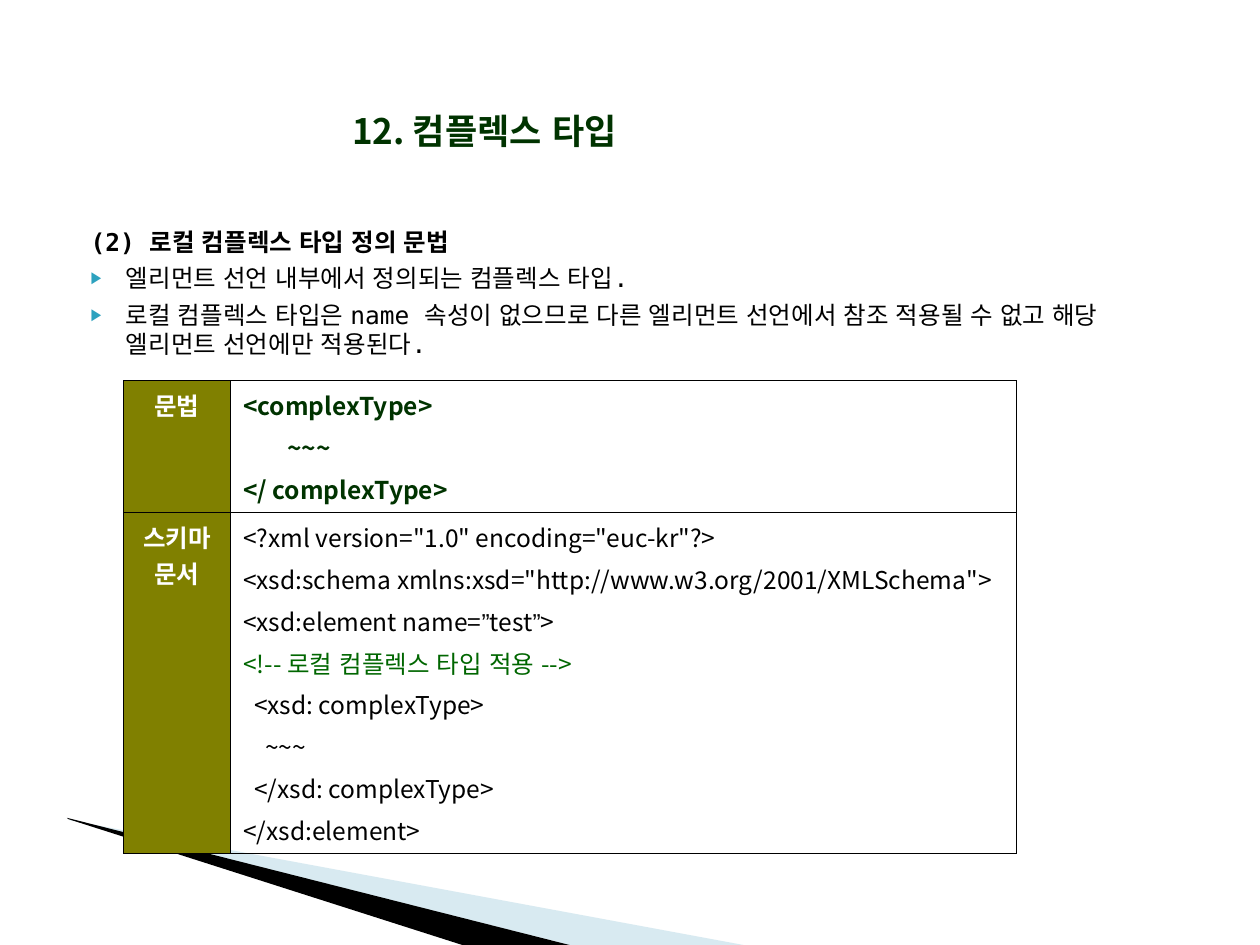
"""Build the slide about local complex types in XML Schema."""
from dataclasses import dataclass

from lxml import etree
from pptx import Presentation
from pptx import util as u
from pptx.dml.color import RGBColor
from pptx.enum import text
from pptx.oxml import ns

SANS, MONO, LATIN = "Noto Sans CJK KR", "DejaVu Sans Mono", "Arial"
BLACK = RGBColor(0x00, 0x00, 0x00)
WHITE = RGBColor(0xFF, 0xFF, 0xFF)
DARK_GREEN = RGBColor(0x00, 0x33, 0x00)
COMMENT_GREEN = RGBColor(0x00, 0x66, 0x00)
OLIVE = RGBColor(0x80, 0x80, 0x00)
PALE_BLUE = RGBColor(0x9F, 0xCB, 0xDC)
BULLET_BLUE = RGBColor(0x2D, 0xA2, 0xBF)


@dataclass(frozen=True)
class Run:
    text: str
    color: RGBColor = BLACK
    bold: bool = False
    font: str = SANS
    size: float = 14
    east_asian: str = LATIN


@dataclass(frozen=True)
class Line:
    runs: tuple[Run, ...]
    bullet: bool = False


@dataclass(frozen=True)
class Wedge:
    points: tuple[tuple[float, float], ...]
    color: RGBColor
    opacity: int = 100


@dataclass(frozen=True)
class SyntaxRow:
    label: str
    lines: tuple[Line, ...]
    height: float


def code(value: str, color: RGBColor = BLACK, bold: bool = False) -> Line:
    return Line((Run(value, color, bold),))


WEDGES = (
    Wedge(((0.55, 6.51), (5.9, 7.5), (4.52, 7.5), (0.55, 6.5)), PALE_BLUE, 40),
    Wedge(((0.53, 6.49), (4.52, 7.5), (3.67, 7.5), (0.54, 6.5)), BLACK),
)
TITLE = (Line((Run("12. 컴플렉스 타입", DARK_GREEN, True, size=20),)),)
BODY = (
    Line((Run("(2) 로컬 컴플렉스 타입 정의 문법", bold=True, font=MONO),)),
    Line((Run("엘리먼트 선언 내부에서 정의되는 컴플렉스 타입.", font=MONO),), True),
    Line((Run("로컬 컴플렉스 타입은 name 속성이 없으므로 다른 엘리먼트 선언에서 "
              "참조 적용될 수 없고 해당 엘리먼트 선언에만 적용된다.", font=MONO),), True),
)
QUOTE = Run("”", font=LATIN)
ROWS = (
    SyntaxRow("문법", (
        code("<complexType>", DARK_GREEN, True),
        Line((Run("        ", DARK_GREEN), Run("~~~", DARK_GREEN, True))),
        code("</ complexType>", DARK_GREEN, True),
    ), 1.05),
    SyntaxRow("스키마문서", (
        code('<?xml version="1.0" encoding="euc-kr"?>'),
        code('<xsd:schema xmlns:xsd="http://www.w3.org/2001/XMLSchema">'),
        Line((Run("<xsd:element name="), QUOTE, Run("test"), QUOTE, Run(">"))),
        code("<!-- 로컬 컴플렉스 타입 적용 -->", COMMENT_GREEN),
        code("  <xsd: complexType>"),
        code("    ~~~"),
        code("  </xsd: complexType>"),
        code("</xsd:element>"),
    ), 2.7),
)
COLUMN_WIDTHS = (0.85, 6.24)


def add_element(parent, tag: str, **attributes: str):
    element = etree.SubElement(parent, ns.qn(tag))
    for name, value in attributes.items():
        element.set(name, value)
    return element


def set_hanging_indent(paragraph, bullet: bool) -> None:
    properties = paragraph._p.get_or_add_pPr()
    properties.set("marL", str(u.Inches(0.4)))
    properties.set("indent", str(u.Inches(-0.28)))
    if bullet:
        color = add_element(properties, "a:buClr")
        add_element(color, "a:srgbClr", val=str(BULLET_BLUE))
        add_element(properties, "a:buSzPct", val="68000")
        add_element(properties, "a:buFont", typeface=LATIN)
        add_element(properties, "a:buChar", char="▶")
    else:
        add_element(properties, "a:buNone")


def write_lines(frame, lines: tuple[Line, ...], gap: float = 0,
                align=text.PP_ALIGN.LEFT, hanging: bool = False) -> None:
    frame.word_wrap = True
    for index, line in enumerate(lines):
        paragraph = frame.add_paragraph() if index else frame.paragraphs[0]
        if hanging:
            set_hanging_indent(paragraph, line.bullet)
        paragraph.alignment = align
        paragraph.space_before = u.Pt(gap if index else 0)
        for item in line.runs:
            run = paragraph.add_run()
            run.text = item.text
            run.font.name = item.font
            run.font.size = u.Pt(item.size)
            run.font.bold = item.bold
            run.font.color.rgb = item.color
            add_element(run._r.get_or_add_rPr(), "a:ea", typeface=item.east_asian)


def add_wedge(slide, wedge: Wedge) -> None:
    points = [(u.Inches(x), u.Inches(y)) for x, y in wedge.points]
    builder = slide.shapes.build_freeform(*points[0])
    builder.add_line_segments(points[1:], close=True)
    shape = builder.convert_to_shape()
    shape.shadow.inherit = False
    shape.line.fill.background()
    shape.fill.solid()
    shape.fill.fore_color.rgb = wedge.color
    if wedge.opacity < 100:
        color = shape._element.spPr.find(".//" + ns.qn("a:srgbClr"))
        add_element(color, "a:alpha", val=str(wedge.opacity * 1000))


def add_text(slide, left: float, top: float, width: float, height: float):
    box = slide.shapes.add_textbox(
        u.Inches(left), u.Inches(top), u.Inches(width), u.Inches(height))
    return box.text_frame


def style_cell(cell, fill: RGBColor | None) -> None:
    properties = cell._tc.get_or_add_tcPr()
    for side in ("a:lnL", "a:lnR", "a:lnT", "a:lnB"):
        border = add_element(properties, side, w=str(u.Pt(0.45)))
        add_element(add_element(border, "a:solidFill"), "a:srgbClr", val=str(BLACK))
    if fill is None:
        cell.fill.background()
    else:
        cell.fill.solid()
        cell.fill.fore_color.rgb = fill


def add_syntax_table(slide) -> None:
    table = slide.shapes.add_table(
        len(ROWS), len(COLUMN_WIDTHS), u.Inches(0.98), u.Inches(3.02),
        u.Inches(sum(COLUMN_WIDTHS)), u.Inches(sum(row.height for row in ROWS))).table
    table.first_row = table.horz_banding = False
    for column, width in zip(table.columns, COLUMN_WIDTHS):
        column.width = u.Inches(width)
    for index, row in enumerate(ROWS):
        table.rows[index].height = u.Inches(row.height)
        label, content = table.cell(index, 0), table.cell(index, 1)
        style_cell(label, OLIVE)
        style_cell(content, None)
        label_line = Line((Run(row.label, WHITE, True, east_asian=SANS),))
        write_lines(label.text_frame, (label_line,), align=text.PP_ALIGN.CENTER)
        write_lines(content.text_frame, row.lines, gap=3.5)


def main() -> None:
    presentation = Presentation()
    presentation.slide_width = u.Inches(10)
    presentation.slide_height = u.Inches(7.5)
    slide = presentation.slides.add_slide(presentation.slide_layouts[6])
    for wedge in WEDGES:
        add_wedge(slide, wedge)
    write_lines(add_text(slide, 0.5, 1.75, 8.99, 1.21), BODY, gap=4, hanging=True)
    add_syntax_table(slide)
    title = add_text(slide, 0.97, 0.76, 5.75, 0.55)
    title.vertical_anchor = text.MSO_ANCHOR.MIDDLE
    write_lines(title, TITLE, align=text.PP_ALIGN.CENTER)
    presentation.save("out.pptx")


if __name__ == "__main__":
    main()
